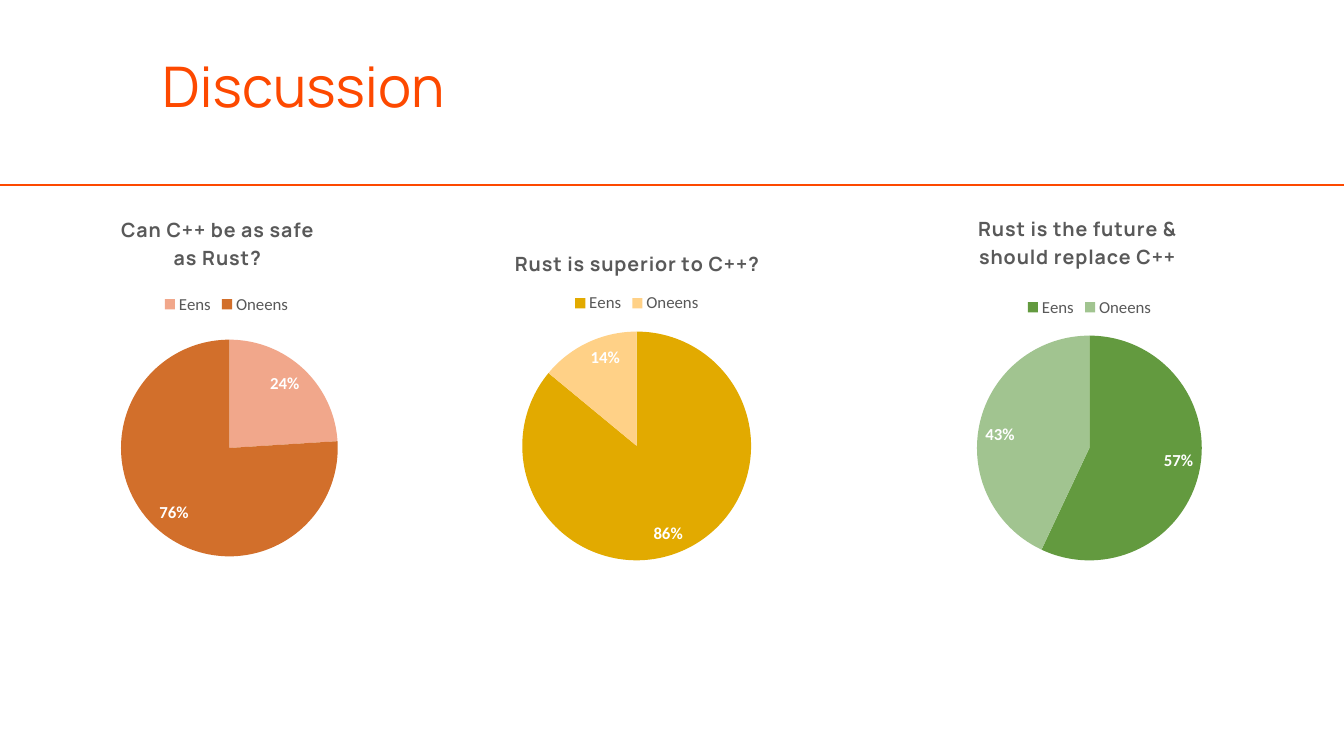
from lxml import etree
from pptx import Presentation
from pptx.chart import data as cd
from pptx.dml.color import RGBColor
from pptx.enum import chart as ch, shapes, text
from pptx.oxml import ns
from pptx.util import Inches, Pt

ORANGE = RGBColor(0xFD, 0x49, 0x00)
GREY = RGBColor(0x59, 0x59, 0x59)
WHITE = RGBColor(0xFF, 0xFF, 0xFF)
BLACK = RGBColor(0x00, 0x00, 0x00)
PEACH = RGBColor(0xF1, 0xA7, 0x8B)
RUST = RGBColor(0xD2, 0x6F, 0x2B)
GOLD = RGBColor(0xE2, 0xAA, 0x00)
SAND = RGBColor(0xFF, 0xD1, 0x87)
GREEN = RGBColor(0x63, 0x9A, 0x3F)
SAGE = RGBColor(0xA1, 0xC4, 0x90)

HEAD_FONT = "Manrope"
BODY_FONT = "Calibri"
ANSWERS = ["Eens", "Oneens"]

POLLS = [
    (["Can C++ be as safe", "as Rust?"], [24, 76], [PEACH, RUST],
     (-0.58, 2.1, 5.99, 3.62), (1.17, 2.1), (1.58, 2.88), (1.2, 3.37, 2.15)),
    (["Rust is superior to C++?"], [86, 14], [GOLD, SAND],
     (3.69, 2.31, 5.27, 3.38), (5.07, 2.43), (5.65, 2.87), (5.18, 3.29, 2.27)),
    (["Rust is the future &", "should replace C++"], [57, 43], [GREEN, SAGE],
     (7.73, 2.07, 6.15, 3.62), (9.67, 2.09), (10.14, 2.91), (9.69, 3.33, 2.23)),
]


def style_font(font, name, size, color, bold=False):
    font.name = name
    font.size = Pt(size)
    font.bold = bold
    font.color.rgb = color


def place(parent, index, frame, left, top, size=None):
    for old in parent.findall(ns.qn("c:layout")):
        parent.remove(old)
    layout = etree.Element(ns.qn("c:layout"))
    manual = etree.SubElement(layout, ns.qn("c:manualLayout"))
    x, y, w, h = frame
    values = [("xMode", "edge"), ("yMode", "edge"),
              ("x", (left - x) / w), ("y", (top - y) / h)]
    if size:
        values.insert(0, ("layoutTarget", "inner"))
        values += [("w", size / w), ("h", size / h)]
    for tag, value in values:
        etree.SubElement(manual, ns.qn("c:" + tag)).set("val", str(value))
    parent.insert(index, layout)


def add_heading(slide, words):
    sp = slide.shapes.add_textbox(Inches(1.51), Inches(0.46), Inches(10.31), Inches(0.77))
    tf = sp.text_frame
    tf.word_wrap = True
    tf.auto_size = text.MSO_AUTO_SIZE.SHAPE_TO_FIT_TEXT
    r = tf.paragraphs[0].add_run()
    r.text = words
    style_font(r.font, HEAD_FONT, 40, ORANGE)


def add_rule(slide, top, width):
    line = slide.shapes.add_connector(shapes.MSO_CONNECTOR.STRAIGHT,
                                      0, Inches(top), width, Inches(top))
    line.line.color.rgb = ORANGE
    line.line.width = Pt(1.5)
    etree.SubElement(line._element.spPr, ns.qn("a:effectLst"))


def add_chart_title(chart, lines):
    chart.has_title = True
    tf = chart.chart_title.text_frame
    for i, words in enumerate(lines):
        p = tf.add_paragraph() if i else tf.paragraphs[0]
        p.alignment = text.PP_ALIGN.CENTER
        r = p.add_run()
        r.text = words
        style_font(r.font, HEAD_FONT, 14, GREY, True)
        r._r.get_or_add_rPr().set("spc", "50")


def add_poll(slide, lines, values, colors, frame, title_at, legend_at, pie_at):
    data = cd.CategoryChartData()
    data.categories = ANSWERS
    data.add_series("Series 1", values)
    chart = slide.shapes.add_chart(ch.XL_CHART_TYPE.PIE,
                                   *map(Inches, frame), data).chart
    style_font(chart.font, BODY_FONT, 10, BLACK)
    add_chart_title(chart, lines)
    chart.has_legend = True
    legend = chart.legend
    legend.position = ch.XL_LEGEND_POSITION.TOP
    legend.include_in_layout = False
    style_font(legend.font, BODY_FONT, 12, GREY)

    plot = chart.plots[0]
    plot.vary_by_categories = True
    for i, color in enumerate(colors):
        fill = plot.series[0].points[i].format.fill
        fill.solid()
        fill.fore_color.rgb = color
    labels = plot.series[0].data_labels
    labels.show_percentage = True
    labels.show_value = False
    labels.number_format = "0%"
    labels.number_format_is_linked = False
    labels.position = ch.XL_LABEL_POSITION.INSIDE_END
    style_font(labels.font, BODY_FONT, 12, WHITE, True)

    place(chart.chart_title._element, 1, frame, *title_at)
    place(legend._element, 1, frame, *legend_at)
    place(chart._chartSpace.chart.plotArea, 0, frame, *pie_at)


def main():
    prs = Presentation()
    prs.slide_width = Inches(13.33)
    prs.slide_height = Inches(7.5)
    slide = prs.slides.add_slide(prs.slide_layouts[6])
    add_rule(slide, 1.84, prs.slide_width)
    for poll in POLLS:
        add_poll(slide, *poll)
    add_heading(slide, "Discussion")
    prs.save("out.pptx")


if __name__ == "__main__":
    main()
